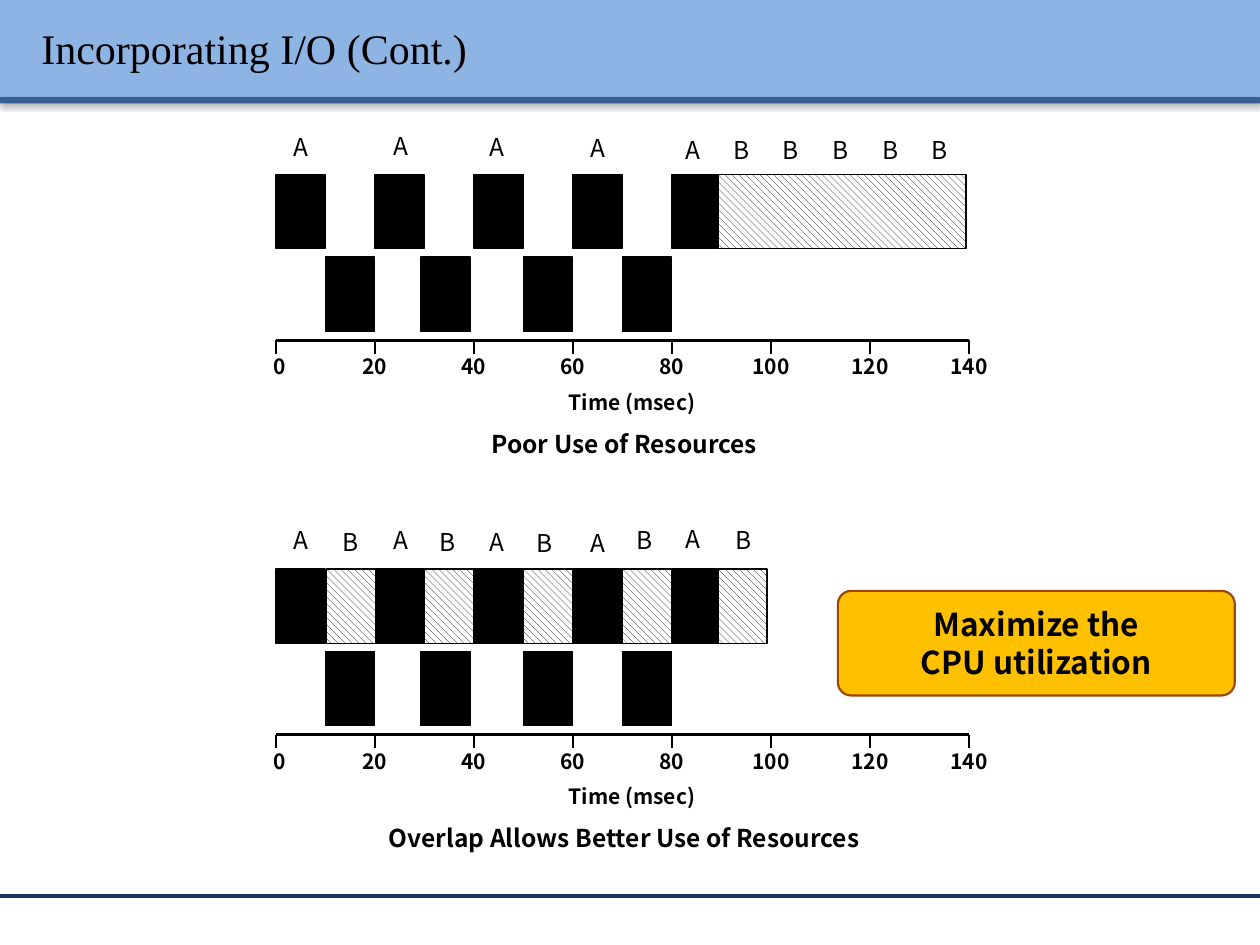
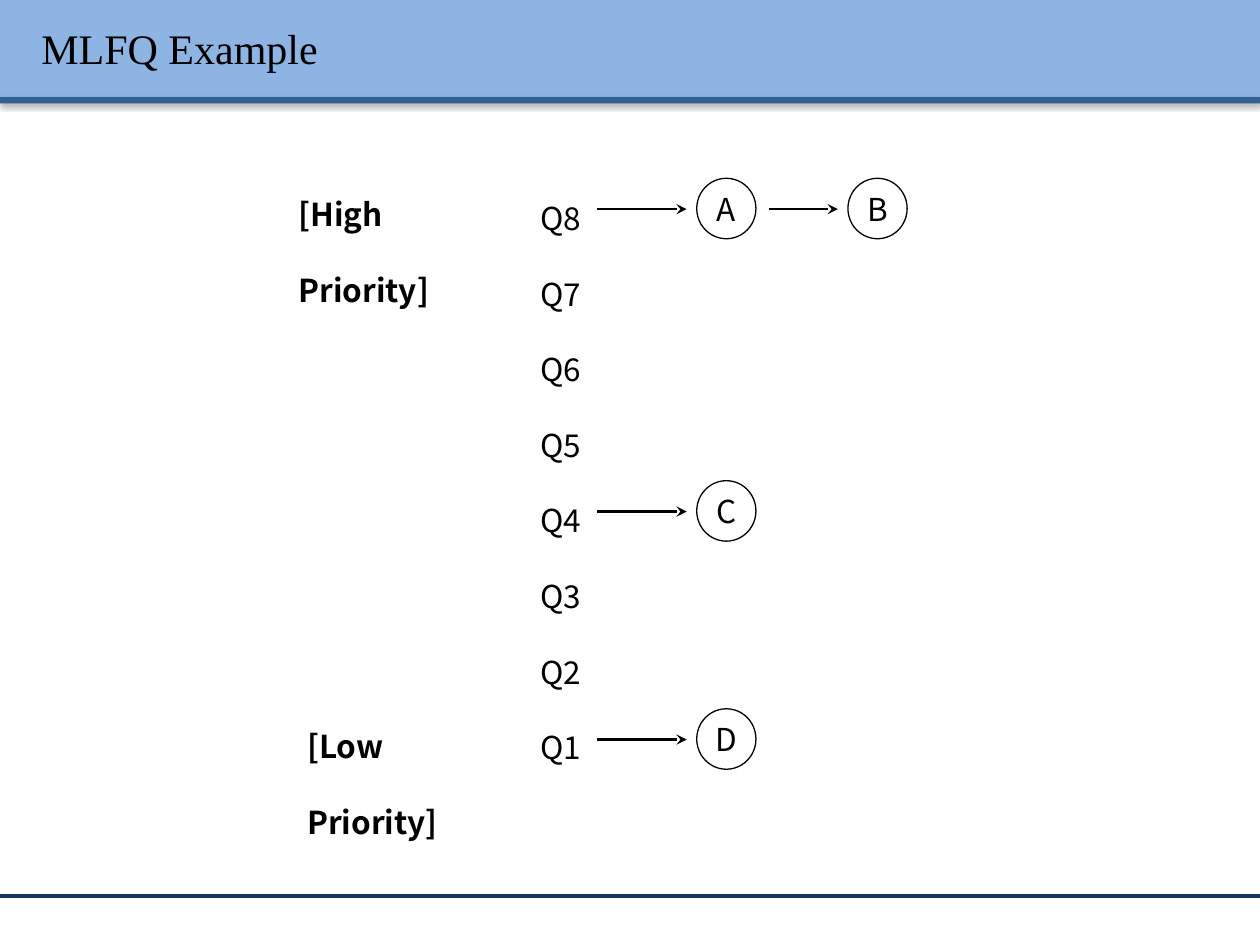
from pptx import Presentation
from pptx.dml.color import RGBColor
from pptx.enum.dml import MSO_PATTERN
from pptx.enum.shapes import MSO_CONNECTOR, MSO_SHAPE
from pptx.enum.text import MSO_ANCHOR, PP_ALIGN
from pptx.oxml import parse_xml
from pptx.oxml.ns import nsdecls
from pptx.util import Inches, Pt

WIDTH, HEIGHT = Inches(10), Inches(7.5)
COLUMN, ROW = WIDTH / 100, HEIGHT / 75

BLACK = RGBColor(0x00, 0x00, 0x00)
WHITE = RGBColor(0xFF, 0xFF, 0xFF)
BAND_BLUE = RGBColor(0x8E, 0xB4, 0xE3)
BAND_EDGE = RGBColor(0x37, 0x60, 0x92)
FOOTER_BLUE = RGBColor(0x17, 0x37, 0x5E)
AMBER = RGBColor(0xFF, 0xC0, 0x00)
BROWN = RGBColor(0x98, 0x48, 0x07)

BODY_FONT = "Noto Sans CJK KR"
TITLE_FONT = "Times New Roman"

AXIS_LEFT, AXIS_COLUMNS, AXIS_END = 21.9, 55, 140
BURST_COLUMNS, BURST_ROWS = 3.9, 5.9
CPU_STARTS = (0, 20, 40, 60, 80)
IO_STARTS = (10, 29.3, 50, 70)
A_LABELS = (0, 20.3, 39.7, 60, 79.2)


def columns(count):
    return round(count * COLUMN)


def rows(count):
    return round(count * ROW)


def frame(left, top, width, height):
    return columns(left), rows(top), columns(width), rows(height)


def add_shadow(properties, blur, distance, opacity):
    properties.append(parse_xml(
        f'<a:effectLst {nsdecls("a")}><a:outerShdw blurRad="{Pt(blur)}" '
        f'dist="{Pt(distance)}" dir="5400000" rotWithShape="0">'
        f'<a:srgbClr val="{BLACK}"><a:alpha val="{opacity * 1000}"/></a:srgbClr>'
        '</a:outerShdw></a:effectLst>'))


def write(text_frame, lines, size, bold=False, align=PP_ALIGN.CENTER,
          font=BODY_FONT, spacing=None):
    text_frame.word_wrap = True
    runs = []
    for index, line in enumerate(lines):
        paragraph = text_frame.paragraphs[0] if index == 0 else text_frame.add_paragraph()
        paragraph.alignment = align
        paragraph.line_spacing = spacing
        run = paragraph.add_run()
        run.text = line
        run.font.name = font
        run.font.size = Pt(size)
        run.font.bold = bold
        run.font.color.rgb = BLACK
        runs.append(run)
    return runs


def add_text(slide, box, lines, size, **style):
    shape = slide.shapes.add_textbox(*frame(*box))
    return shape, write(shape.text_frame, lines, size, **style)


def add_block(slide, kind, box, fill, line=None, weight=0.75):
    shape = slide.shapes.add_shape(kind, *frame(*box))
    shape.shadow.inherit = False
    shape.fill.solid()
    shape.fill.fore_color.rgb = fill
    if line is None:
        shape.line.fill.background()
    else:
        shape.line.color.rgb = line
        shape.line.width = Pt(weight)
    return shape


def add_line(slide, start, end, color=BLACK, weight=1.5, arrow=False):
    line = slide.shapes.add_connector(
        MSO_CONNECTOR.STRAIGHT, columns(start[0]), rows(start[1]),
        columns(end[0]), rows(end[1]))
    line.line.color.rgb = color
    line.line.width = Pt(weight)
    if arrow:
        line.line._get_or_add_ln().append(
            parse_xml(f'<a:tailEnd {nsdecls("a")} type="stealth"/>'))
    line._element.spPr.append(parse_xml(f'<a:effectLst {nsdecls("a")}/>'))


def add_band(slide, top, height, color):
    band = add_block(slide, MSO_SHAPE.RECTANGLE, (0, top, 100, height), color)
    properties = band._element.spPr
    properties.remove(properties[-1])
    add_shadow(properties, 3.1, 1.6, 38)


def add_titled_slide(presentation, title):
    slide = presentation.slides.add_slide(presentation.slide_layouts[6])
    add_band(slide, 0, 7.7, BAND_BLUE)
    add_band(slide, 7.7, 0.5, BAND_EDGE)
    add_line(slide, (0, 71.1), (100, 71.1), FOOTER_BLUE, 2)
    shape, runs = add_text(slide, (2.3, 0.6, 96.1, 6.4), [title], 24,
                           align=PP_ALIGN.LEFT, font=TITLE_FONT)
    shape.text_frame.vertical_anchor = MSO_ANCHOR.MIDDLE
    properties = runs[0]._r.get_or_add_rPr()
    add_shadow(properties, 3, 3, 43)
    properties.insert(1, properties[-1])
    return slide


def at_time(msec):
    return AXIS_LEFT + msec * AXIS_COLUMNS / AXIS_END


def add_burst(slide, start, top, width=BURST_COLUMNS, hatched=False):
    burst = add_block(slide, MSO_SHAPE.RECTANGLE,
                      (at_time(start), top, width, BURST_ROWS), BLACK, BLACK)
    if hatched:
        burst.fill.patterned()
        burst.fill.pattern = MSO_PATTERN.WIDE_DOWNWARD_DIAGONAL
        burst.fill.fore_color.rgb = BLACK
        burst.fill.back_color.rgb = WHITE


def add_job_labels(slide, job, starts, top, shifts):
    for start, shift in zip(starts, shifts):
        add_text(slide, (at_time(start), top + shift, 3.9, 3.4), [job], 14)


def add_time_axis(slide, top, caption):
    add_line(slide, (AXIS_LEFT, top), (at_time(AXIS_END), top))
    for msec in range(0, AXIS_END + 1, 20):
        tick = at_time(msec)
        width = {1: 2.4, 2: 4.7, 3: 5.5}[len(str(msec))]
        add_line(slide, (tick, top), (tick, top + 1.1))
        add_text(slide, (tick - width / 2, top + 0.6, width, 3), [str(msec)], 12, bold=True)
    add_text(slide, (41.9, top + 3.4, 16.5, 3), ["Time (msec)"], 12, bold=True)
    add_text(slide, (28.8, top + 6.55, 41.5, 3.4), [caption], 14, bold=True)


def add_schedule(slide, axis_top, caption, a_shifts, b_labels, b_shifts, b_bursts):
    cpu_top, io_top, label_top = axis_top - 13.15, axis_top - 6.6, axis_top - 17
    add_time_axis(slide, axis_top, caption)
    for start in CPU_STARTS:
        add_burst(slide, start, cpu_top, 3.6 if start == 80 else BURST_COLUMNS)
    for start in IO_STARTS:
        add_burst(slide, start, io_top)
    for start, width in b_bursts:
        add_burst(slide, start, cpu_top, width, hatched=True)
    add_job_labels(slide, "A", A_LABELS, label_top, a_shifts)
    add_job_labels(slide, "B", b_labels, label_top, b_shifts)


def add_callout(slide, box, lines):
    callout = add_block(slide, MSO_SHAPE.ROUNDED_RECTANGLE, box, AMBER, BROWN, 1.25)
    callout.adjustments[0] = 0.126
    callout.text_frame.vertical_anchor = MSO_ANCHOR.MIDDLE
    write(callout.text_frame, lines, 18, bold=True)


def add_queue(slide, center, jobs):
    arrow_start, arrow_end = 47.4, 54.5
    for job in jobs:
        add_line(slide, (arrow_start, center), (arrow_end, center), arrow=True)
        node = add_block(slide, MSO_SHAPE.OVAL,
                         (arrow_end + 0.8, center - 2.45, 4.7, 4.8), WHITE, BLACK)
        text_frame = node.text_frame
        text_frame.margin_left = text_frame.margin_right = columns(0.8)
        text_frame.vertical_anchor = MSO_ANCHOR.MIDDLE
        write(text_frame, [job], 18)
        arrow_start, arrow_end = arrow_end + 6.5, arrow_end + 12


def build_io_slide(presentation):
    slide = add_titled_slide(presentation, "Incorporating I/O (Cont.)")
    add_schedule(slide, 27, "Poor Use of Resources", (0, -0.1, 0, 0.1, 0.2),
                 (89.1, 99, 109.2, 119.1, 129.1), (0.2,) * 5, [(89.3, 19.7)])
    add_schedule(slide, 58.3, "Overlap Allows Better Use of Resources",
                 (-0.1, -0.1, 0, 0.1, -0.2),
                 (10.2, 29.8, 49.4, 69.5, 89.6), (0, 0, 0.1, -0.1, -0.1),
                 [(start, BURST_COLUMNS) for start in (10.2, 30, 50, 70, 89.3)])
    add_callout(slide, (66.5, 46.9, 31.5, 8.3), ["Maximize the", "CPU utilization"])


def build_mlfq_slide(presentation):
    slide = add_titled_slide(presentation, "MLFQ Example")
    style = {"align": PP_ALIGN.LEFT, "spacing": 2}
    add_text(slide, (41.9, 12.3, 5.5, 48.5), [f"Q{level}" for level in range(8, 0, -1)],
             18, **style)
    add_text(slide, (22.7, 12, 18.5, 6.1), ["[High Priority]"], 18, bold=True, **style)
    add_text(slide, (23.4, 54.2, 18.5, 7.1), ["[Low Priority]"], 18, bold=True, **style)
    for center, jobs in ((16.6, "AB"), (40.6, "C"), (58.7, "D")):
        add_queue(slide, center, jobs)


def main():
    presentation = Presentation()
    presentation.slide_width, presentation.slide_height = WIDTH, HEIGHT
    build_io_slide(presentation)
    build_mlfq_slide(presentation)
    presentation.save("out.pptx")


if __name__ == "__main__":
    main()
